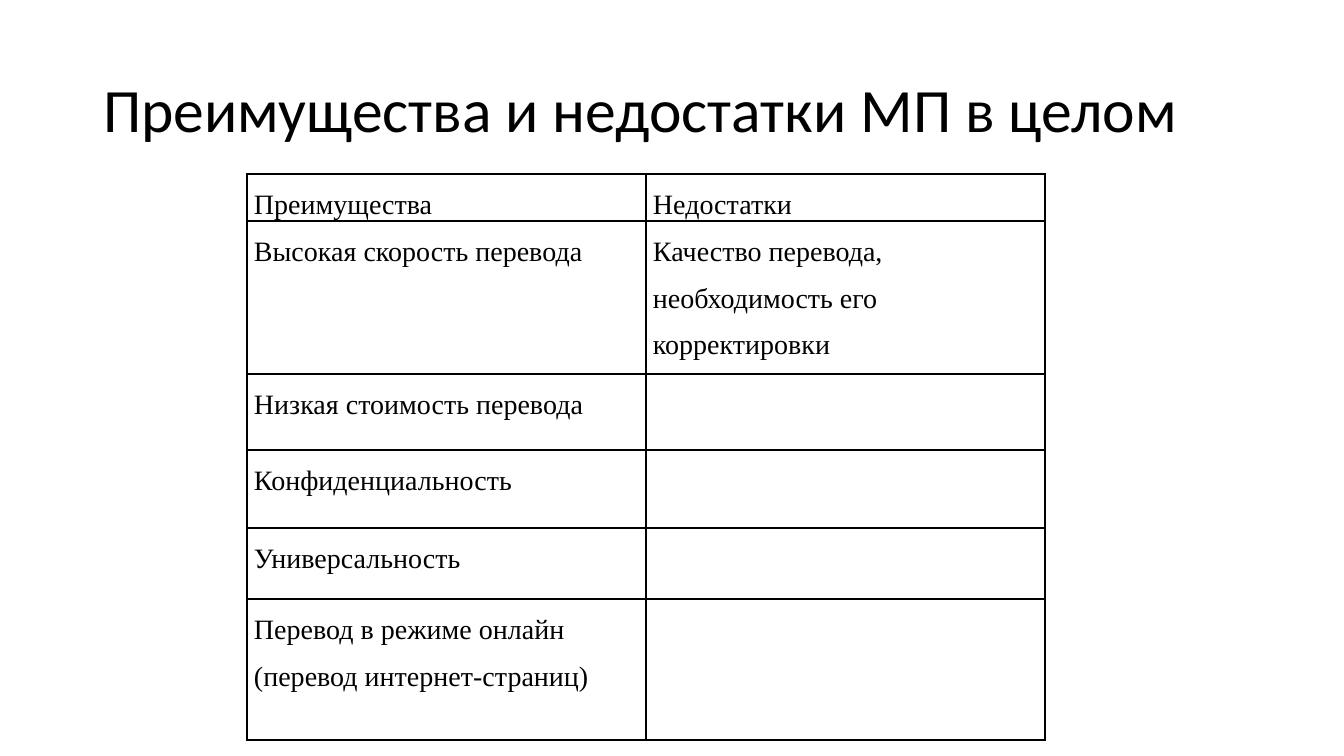
"""Build a slide with a table of the pros and cons of machine translation."""
from pptx import Presentation
from pptx import util as u
from pptx.dml.color import RGBColor
from pptx.enum import text
from pptx.oxml import parse_xml
from pptx.oxml.ns import nsdecls

HEADING = "Преимущества и недостатки МП в целом"
PROS_CONS = [
    (47, "Преимущества", "Недостатки"),
    (153, "Высокая скорость перевода",
     "Качество перевода, необходимость его корректировки"),
    (76, "Низкая стоимость перевода", ""),
    (78, "Конфиденциальность", ""),
    (71, "Универсальность", ""),
    (141, "Перевод в режиме онлайн (перевод интернет-страниц)", ""),
]
HEADING_BOX = (93, 40, 1159, 146)
TABLE_LEFT, TABLE_TOP, COLUMN_WIDTH = 247, 174, 399
INK = "000000"


def px(length):
    return u.Emu(round(length * 914400 / 100.8))


def color(value):
    return RGBColor.from_string(value)


def style(paragraph, face, size, spacing):
    paragraph.alignment = text.PP_ALIGN.LEFT
    paragraph.line_spacing = spacing
    paragraph.font.name = face
    paragraph.font.size = u.Pt(size)
    paragraph.font.bold = False
    paragraph.font.color.rgb = color(INK)


def add_borders(cell):
    properties = cell._tc.get_or_add_tcPr()
    for position, side in enumerate(("lnL", "lnR", "lnT", "lnB")):
        properties.insert(position, parse_xml(
            f'<a:{side} {nsdecls("a")} w="{u.Pt(1)}"><a:solidFill>'
            f'<a:srgbClr val="{INK}"/></a:solidFill></a:{side}>'))


def add_heading(slide):
    heading = slide.shapes.title
    heading.left, heading.top, heading.width, heading.height = map(px, HEADING_BOX)
    heading.text_frame.text = HEADING
    heading.text_frame.word_wrap = True
    heading.text_frame.vertical_anchor = text.MSO_ANCHOR.MIDDLE
    style(heading.text_frame.paragraphs[0], "Calibri", 44, 0.9)


def add_pros_cons(slide):
    total_height = sum(height for height, *_ in PROS_CONS)
    table = slide.shapes.add_table(
        len(PROS_CONS), 2, px(TABLE_LEFT), px(TABLE_TOP),
        px(2 * COLUMN_WIDTH), px(total_height)).table
    table.first_row = table.horz_banding = False
    for column in table.columns:
        column.width = px(COLUMN_WIDTH)
    for row, (height, *entries) in zip(table.rows, PROS_CONS):
        row.height = px(height)
        for cell, entry in zip(row.cells, entries):
            cell.margin_left = cell.margin_right = px(7)
            cell.margin_top = cell.margin_bottom = 0
            add_borders(cell)
            cell.fill.background()
            cell.text = entry
            style(cell.text_frame.paragraphs[0], "Times New Roman", 20, 1.5)


def main():
    deck = Presentation()
    deck.slide_width, deck.slide_height = px(1344), px(756)
    slide = deck.slides.add_slide(deck.slide_layouts[5])
    add_heading(slide)
    add_pros_cons(slide)
    deck.save("out.pptx")


if __name__ == "__main__":
    main()
